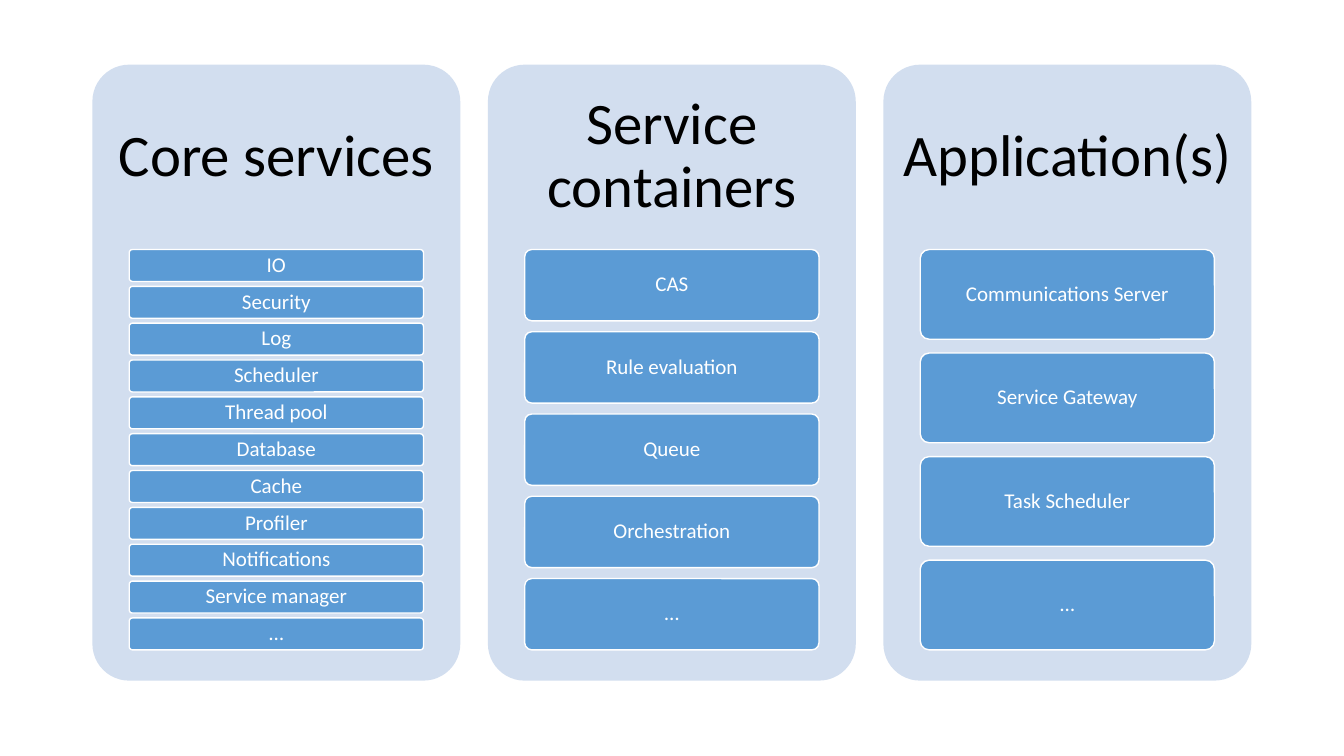
from pptx import Presentation
from pptx.dml.color import RGBColor
from pptx.enum import shapes, text
from pptx.util import Pt

PANEL_BLUE = RGBColor(0xD2, 0xDE, 0xEF)
ITEM_BLUE = RGBColor(0x5B, 0x9B, 0xD5)
WHITE = RGBColor(0xFF, 0xFF, 0xFF)
BLACK = RGBColor(0, 0, 0)

PANEL_LEFT, PANEL_TOP = 66, 46.2
PANEL_WIDTH, PANEL_HEIGHT = 262.8, 440
PANEL_PITCH = 282.5
HEADING_HEIGHT = 132
ITEM_INSET = 26.3
ITEMS_HEIGHT = 286
GAP_RATIO = 2 / 13  # gap between items, relative to item height

COLUMNS = [
    ("Core services", ["IO", "Security", "Log", "Scheduler", "Thread pool",
                       "Database", "Cache", "Profiler", "Notifications",
                       "Service manager", "…"]),
    ("Service containers", ["CAS", "Rule evaluation", "Queue",
                            "Orchestration", "…"]),
    ("Application(s)", ["Communications Server", "Service Gateway",
                        "Task Scheduler", "…"]),
]


def write(shape, words, size, color, inset_x, inset_y):
    frame = shape.text_frame
    frame.word_wrap = True
    frame.vertical_anchor = text.MSO_ANCHOR.MIDDLE
    frame.margin_left = frame.margin_right = Pt(inset_x)
    frame.margin_top = frame.margin_bottom = Pt(inset_y)
    paragraph = frame.paragraphs[0]
    paragraph.alignment = text.PP_ALIGN.CENTER
    paragraph.line_spacing = 0.9
    run = paragraph.add_run()
    run.text = words
    run.font.name = "Calibri"
    run.font.size = Pt(size)
    run.font.color.rgb = color


def add_rounded(slide, left, top, width, height, fill, line=None):
    box = slide.shapes.add_shape(shapes.MSO_SHAPE.ROUNDED_RECTANGLE,
                                 Pt(left), Pt(top), Pt(width), Pt(height))
    box.adjustments[0] = 0.1
    box.shadow.inherit = False
    box.fill.solid()
    box.fill.fore_color.rgb = fill
    if line is None:
        box.line.fill.background()
    else:
        box.line.color.rgb = line
        box.line.width = Pt(1)
    return box


def add_column(slide, left, heading, items):
    """Draw a panel with a heading and equal items filling the space below."""
    add_rounded(slide, left, PANEL_TOP, PANEL_WIDTH, PANEL_HEIGHT, PANEL_BLUE)
    heading_box = slide.shapes.add_textbox(
        Pt(left), Pt(PANEL_TOP), Pt(PANEL_WIDTH), Pt(HEADING_HEIGHT))
    write(heading_box, heading, size=42, color=BLACK, inset_x=12, inset_y=12)

    item_height = ITEMS_HEIGHT / (len(items) + (len(items) - 1) * GAP_RATIO)
    for row, name in enumerate(items):
        top = PANEL_TOP + HEADING_HEIGHT + row * item_height * (1 + GAP_RATIO)
        item = add_rounded(slide, left + ITEM_INSET, top,
                           PANEL_WIDTH - 2 * ITEM_INSET, item_height,
                           ITEM_BLUE, line=WHITE)
        write(item, name, size=15, color=WHITE, inset_x=3, inset_y=2)


def main():
    deck = Presentation()
    deck.slide_width, deck.slide_height = Pt(960), Pt(540)
    slide = deck.slides.add_slide(deck.slide_layouts.get_by_name("Blank"))
    for index, (heading, items) in enumerate(COLUMNS):
        add_column(slide, PANEL_LEFT + index * PANEL_PITCH, heading, items)
    deck.save("out.pptx")


if __name__ == "__main__":
    main()
